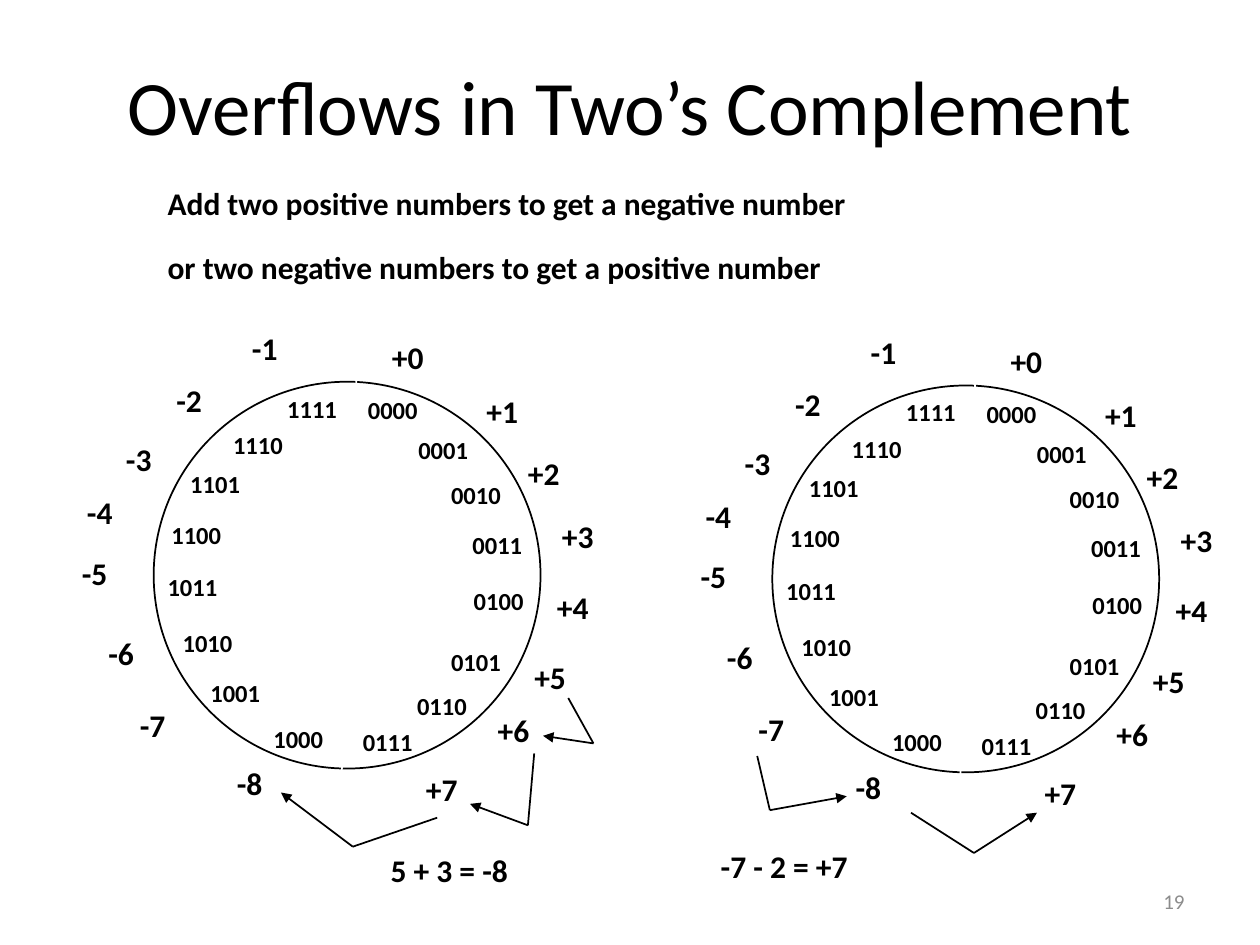
import pptx
import pptx.dml.color
import pptx.enum.shapes
import pptx.enum.text
import pptx.oxml
import pptx.oxml.ns
import pptx.util
from lxml import etree

PX = 9144  # EMU; 100 px to the inch
BLACK, WHITE, GREY = "000000", "FFFFFF", "8C8C8C"
ANCHOR = pptx.enum.text.MSO_ANCHOR
ALIGN = pptx.enum.text.PP_ALIGN

TITLE = "Overflows in Two’s Complement"
RULES = [
    "Add two positive numbers to get a negative number",
    "or two negative numbers to get a positive number",
]
SUMS = [("5 + 3 = -8", 303, 677, 121), ("-7 - 2 = +7", 565, 674, 129)]

# Each path runs from start through a bend to the arrowhead.
HOPS = [
    [(451, 554), (471, 590), (431, 584)],
    [(424, 598), (419, 655), (373, 638)],
    [(347, 649), (280, 672), (223, 629)],
    [(601, 600), (611, 643), (672, 632)],
    [(723, 645), (773, 677), (823, 645)],
]

# Value, its label's left and top, its bit pattern's left and top (first wheel).
NUMBERS = [
    (0, (304, 270), (285, 313)),
    (1, (379, 313), (325, 345)),
    (2, (412, 362), (351, 381)),
    (3, (439, 412), (368, 420)),
    (4, (435, 468), (369, 465)),
    (5, (417, 524), (351, 513)),
    (6, (388, 566), (324, 548)),
    (7, (331, 613), (281, 577)),
    (-8, (181, 608), (210, 574)),
    (-7, (104, 562), (160, 538)),
    (-6, (79, 505), (138, 498)),
    (-5, (58, 441), (126, 454)),
    (-4, (62, 393), (129, 412)),
    (-3, (93, 351), (144, 372)),
    (-2, (133, 304), (178, 341)),
    (-1, (193, 263), (221, 312)),
]
WHEEL_SHIFTS = [(0, 0), (491, 3)]


def rgb(colour):
    return pptx.dml.color.RGBColor.from_string(colour)


def emu(*lengths):
    return [pptx.util.Emu(length * PX) for length in lengths]


def write(frame, paragraphs, size=18, colour=BLACK, bold=False, align=None,
          spacing=None, gap=0):
    for index, words in enumerate(paragraphs):
        paragraph = frame.paragraphs[0] if index == 0 else frame.add_paragraph()
        paragraph.alignment = align
        paragraph.line_spacing = spacing
        if index:
            paragraph.space_before = pptx.util.Pt(gap)
        run = paragraph.add_run()
        run.text = words
        run.font.name = "Calibri"
        run.font.size = pptx.util.Pt(size)
        run.font.bold = bold
        run.font.color.rgb = rgb(colour)


def add_label(slide, paragraphs, left, top, width, height=31, spacing=0.85, **style):
    """Add bold text in a close-fitting box that does not wrap."""
    frame = slide.shapes.add_textbox(*emu(left, top, width, height)).text_frame
    frame.word_wrap = False
    frame.auto_size = pptx.enum.text.MSO_AUTO_SIZE.SHAPE_TO_FIT_TEXT
    frame.margin_left, frame.margin_right = emu(7, 7)
    frame.margin_top, frame.margin_bottom = emu(3, 3)
    write(frame, paragraphs, bold=True, spacing=spacing, **style)


def add_line(slide, start, end, colour=BLACK, arrow=False):
    line = slide.shapes.add_connector(
        pptx.enum.shapes.MSO_CONNECTOR.STRAIGHT, *emu(*start, *end))
    line.line.color.rgb = rgb(colour)
    line.line.width = pptx.util.Pt(1)
    if arrow:
        etree.SubElement(line.line._get_or_add_ln(),
                         pptx.oxml.ns.qn("a:tailEnd"), type="triangle")
    etree.SubElement(line._element.spPr, pptx.oxml.ns.qn("a:effectLst"))


def add_wheel(slide, dx, dy):
    circle = slide.shapes.add_shape(
        pptx.enum.shapes.MSO_SHAPE.OVAL, *emu(122 + dx, 303 + dy, 307, 307))
    circle.shadow.inherit = False
    circle.fill.background()
    circle.line.color.rgb = rgb(BLACK)
    circle.line.width = pptx.util.Pt(1)
    # The white line cuts the circle between -1 and +0 and between +7 and -8.
    add_line(slide, (284 + dx, 270 + dy), (270 + dx, 646 + dy), colour=WHITE)
    for value, (label_x, label_y), (bits_x, bits_y) in NUMBERS:
        add_label(slide, [f"{value % 16:04b}"], bits_x + dx, bits_y + dy, 57, 27,
                  spacing=0.9, size=14)
        add_label(slide, [f"{value:+d}"], label_x + dx, label_y + dy,
                  36 if value < 0 else 42)


def main():
    deck = pptx.Presentation()
    deck.slide_width, deck.slide_height = emu(1000, 750)
    slide = deck.slides.add_slide(deck.slide_layouts[5])

    title = slide.shapes.title
    title.left, title.top, title.width, title.height = emu(50, 0, 900, 125)
    title.text_frame.vertical_anchor = ANCHOR.BOTTOM
    write(title.text_frame, [TITLE], size=44, align=ALIGN.CENTER)

    number = slide.shapes.add_textbox(*emu(717, 695, 233, 40)).text_frame
    number.word_wrap = True
    number.vertical_anchor = ANCHOR.MIDDLE
    write(number, ["19"], size=12, colour=GREY, align=ALIGN.RIGHT)

    add_label(slide, RULES, 126, 148, 629, 82, gap=18)
    for start, bend, end in HOPS:
        add_line(slide, start, bend)
        add_line(slide, bend, end, arrow=True)
    for words, left, top, width in SUMS:
        add_label(slide, [words], left, top, width)
    for dx, dy in WHEEL_SHIFTS:
        add_wheel(slide, dx, dy)

    deck.save("out.pptx")


if __name__ == "__main__":
    main()
